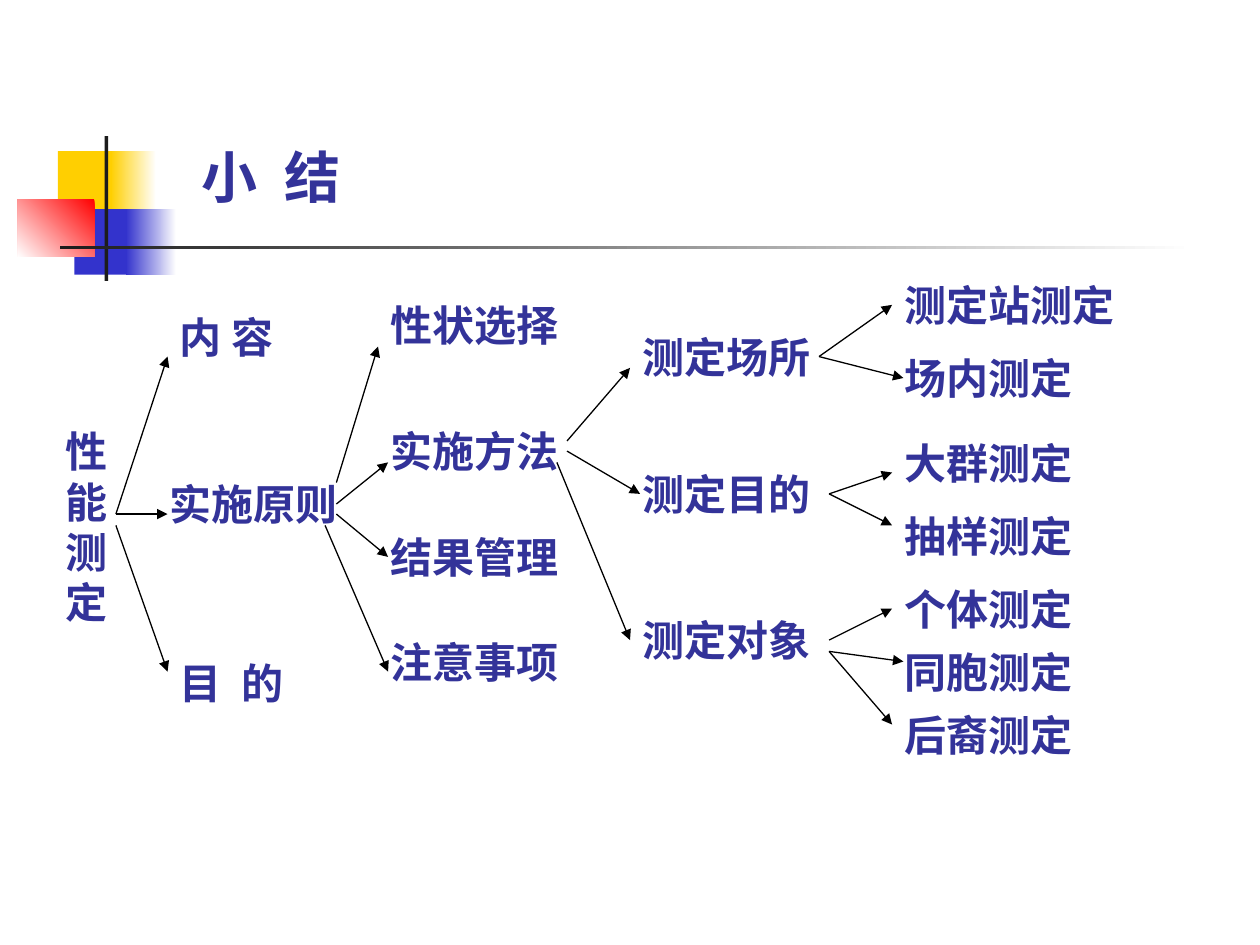
import pptx
import pptx.dml.color
import pptx.enum.shapes
import pptx.enum.text
import pptx.util
from lxml import etree
from pptx.util import Inches

FONT = "Roboto"
TEXT_COLOR = "333399"
LABEL_HEIGHT = 0.5
LEFT_SIDE = 1

# left, top, width, height, colours (two make a gradient), gradient angle
DECORATIONS = [
    (0.46, 1.2, 0.48, 0.52, ["FFCF01"], 0),
    (0.88, 1.2, 0.36, 0.52, ["FFFFFF", "FFCF01"], 180),
    (0.59, 1.66, 0.46, 0.52, ["3333CC"], 0),
    (1, 1.66, 0.4, 0.52, ["FFFFFF", "3333CC"], 180),
    (0.14, 1.58, 0.61, 0.46, ["FF0000", "FFFFFF"], 225),
    (0.83, 1.08, 0.03, 1.15, ["1C1C1C"], 0),
    (0.48, 1.95, 9, 0.03, ["FFFFFF", "1C1C1C"], 180),
]

# text, left, top, width
STAGE_LABELS = [
    ("内 容", 1.33, 2.42, 1.5),
    ("实施原则", 1.25, 3.75, 1.58),
    ("性状选择", 3, 2.33, 2.08),
    ("实施方法", 3, 3.33, 1.83),
    ("结果管理", 3, 4.17, 2.25),
    ("注意事项", 3, 5, 1.92),
    ("测定场所", 5, 2.58, 1.92),
    ("测定目的", 5, 3.67, 1.92),
    ("测定对象", 5, 4.83, 1.67),
    ("测定站测定", 7.08, 2.17, 2.08),
    ("场内测定", 7.08, 2.75, 2.08),
    ("大群测定", 7.08, 3.42, 1.92),
    ("抽样测定", 7.08, 4, 2.33),
    ("个体测定", 7.08, 4.58, 1.92),
    ("同胞测定", 7.08, 5.08, 2.25),
    ("后裔测定", 7.08, 5.58, 2.25),
]

# start point, then end points; a label name means the middle of its left side
BRANCHES = [
    ((0.92, 4.08), [(1.33, 2.83), (1.33, 4.08)]),
    ((0.92, 4.17), [(1.33, 5.33)]),
    ((2.67, 3.83), [(3, 2.75)]),
    ((2.67, 4), [(3.08, 3.67)]),
    ((2.67, 4.08), [(3.08, 4.42)]),
    ((2.58, 4.17), [(3.08, 5.33)]),
    ((4.5, 3.5), [(5, 2.92)]),
    ((4.5, 3.58), [(5.08, 3.92)]),
    ((4.42, 3.67), ["测定对象"]),
    ((6.5, 2.83), ["测定站测定", (7.17, 3)]),
    ((6.58, 3.92), [(7.08, 3.75), (7.08, 4.17)]),
    ((6.58, 5.08), ["个体测定"]),
    ((6.58, 5.17), [(7.17, 5.25), (7.08, 5.75)]),
]


def rgb(color):
    return pptx.dml.color.RGBColor.from_string(color)


def add_decoration(slide, left, top, width, height, colors, angle):
    shape = slide.shapes.add_shape(
        pptx.enum.shapes.MSO_SHAPE.RECTANGLE,
        Inches(left), Inches(top), Inches(width), Inches(height))
    shape.shadow.inherit = False
    shape.line.fill.background()
    if len(colors) == 1:
        shape.fill.solid()
        shape.fill.fore_color.rgb = rgb(colors[0])
        return
    shape.fill.gradient()
    shape.fill.gradient_angle = angle
    for stop, color in zip(shape.fill.gradient_stops, colors):
        stop.color.rgb = rgb(color)


def add_run(paragraph, text, size):
    run = paragraph.add_run()
    run.text = text
    run.font.name = FONT
    run.font.size = pptx.util.Pt(size)
    run.font.bold = True
    run.font.color.rgb = rgb(TEXT_COLOR)
    return run


def add_label(slide, text, left, top, width, height=LABEL_HEIGHT, size=24, gap=0):
    """Add a text box; gap widens the space between two characters, in points."""
    label = slide.shapes.add_textbox(
        Inches(left), Inches(top), Inches(width), Inches(height))
    frame = label.text_frame
    frame.word_wrap = True
    frame.auto_size = pptx.enum.text.MSO_AUTO_SIZE.SHAPE_TO_FIT_TEXT
    paragraph = frame.paragraphs[0]
    if gap:
        first, space, last = text.partition(" ")
        add_run(paragraph, first, size)
        space_run = add_run(paragraph, space, size)
        space_run.font._element.set("spc", str(gap * 100))
        add_run(paragraph, last, size)
    else:
        add_run(paragraph, text, size)
    return label


def add_arrow(slide, start, end, labels):
    target = labels.get(end)
    end_x, end_y = start if target else end
    arrow = slide.shapes.add_connector(
        pptx.enum.shapes.MSO_CONNECTOR.STRAIGHT,
        Inches(start[0]), Inches(start[1]), Inches(end_x), Inches(end_y))
    if target:
        arrow.end_connect(target, LEFT_SIDE)
    arrow.line.color.rgb = rgb("000000")
    arrow.line.width = pptx.util.Pt(0.75)
    line = arrow.line._get_or_add_ln()
    etree.SubElement(line, pptx.oxml.ns.qn("a:tailEnd"), type="triangle")
    etree.SubElement(arrow._element.spPr, pptx.oxml.ns.qn("a:effectLst"))


def main():
    presentation = pptx.Presentation()
    presentation.slide_width = Inches(10)
    presentation.slide_height = Inches(7.5)
    slide = presentation.slides.add_slide(presentation.slide_layouts[6])

    for decoration in DECORATIONS:
        add_decoration(slide, *decoration)

    add_label(slide, "小 结", 1.5, 1.08, 2.5, height=0.64, size=32, gap=8)
    add_label(slide, "性能测定", 0.42, 3.33, 0.67, height=1.7)
    add_label(slide, "目 的", 1.33, 5.17, 1.83, gap=6)
    labels = {label[0]: add_label(slide, *label) for label in STAGE_LABELS}

    for start, ends in BRANCHES:
        for end in ends:
            add_arrow(slide, start, end, labels)

    presentation.save("out.pptx")


if __name__ == "__main__":
    main()
